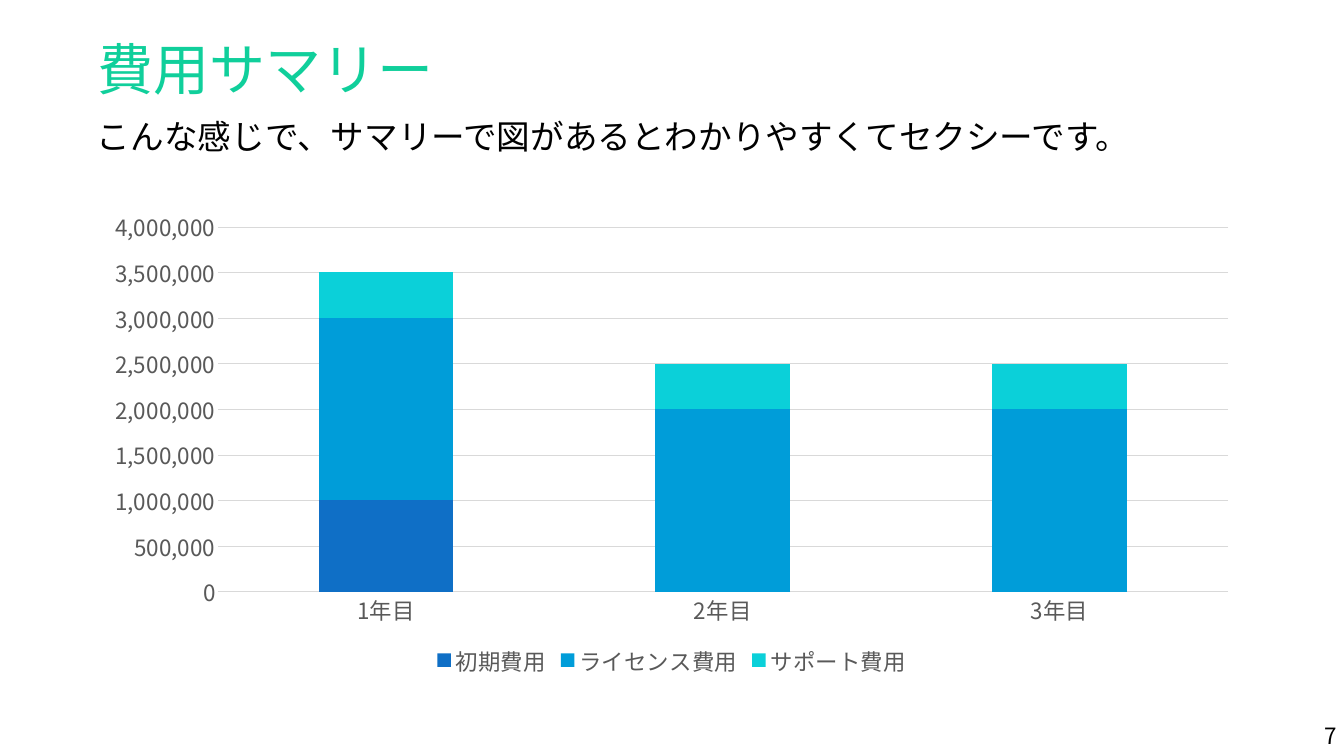
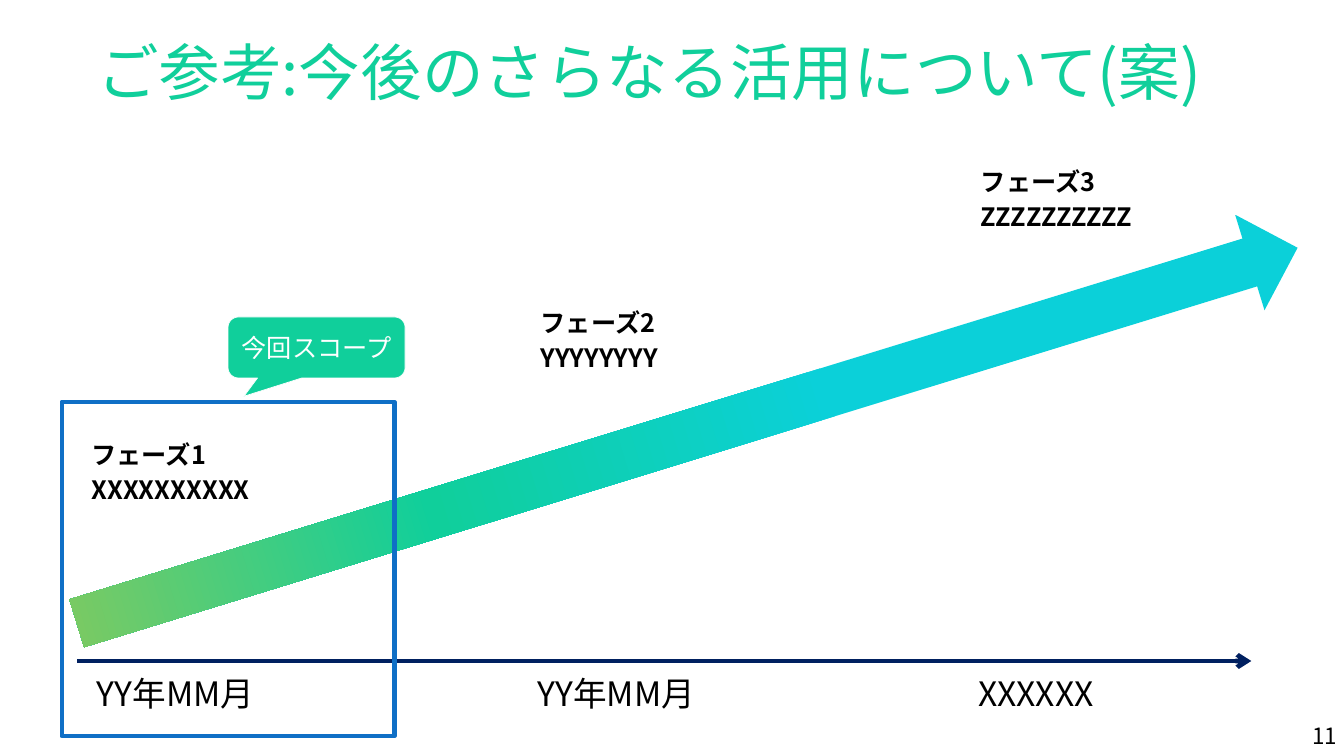
from lxml import etree
from pptx import Presentation
from pptx.chart.data import CategoryChartData
from pptx.dml.color import RGBColor
from pptx.enum.chart import XL_CHART_TYPE, XL_LEGEND_POSITION, XL_TICK_MARK
from pptx.enum.shapes import MSO_CONNECTOR, MSO_SHAPE
from pptx.enum.text import MSO_ANCHOR, MSO_AUTO_SIZE, PP_ALIGN
from pptx.oxml.ns import qn
from pptx.util import Emu, Inches, Pt

FONT = "Noto Sans CJK JP"
BLACK = RGBColor(0x00, 0x00, 0x00)
WHITE = RGBColor(0xFF, 0xFF, 0xFF)
GREEN = RGBColor(0x10, 0xCF, 0x9B)
LIME = RGBColor(0x7C, 0xCA, 0x62)
BLUE = RGBColor(0x0F, 0x6F, 0xC6)
SKY = RGBColor(0x00, 0x9D, 0xD9)
CYAN = RGBColor(0x0B, 0xD0, 0xD9)
NAVY = RGBColor(0x00, 0x20, 0x60)
GRAY = RGBColor(0x59, 0x59, 0x59)
GRID = RGBColor(0xD9, 0xD9, 0xD9)

LEFT, RIGHT, CENTER = PP_ALIGN.LEFT, PP_ALIGN.RIGHT, PP_ALIGN.CENTER
TOP, MIDDLE = MSO_ANCHOR.TOP, MSO_ANCHOR.MIDDLE
NO_TICK = XL_TICK_MARK.NONE
TITLE_ONLY = 5

# Content
COST_TITLE = "費用サマリー"
COST_LEAD = "こんな感じで、サマリーで図があるとわかりやすくてセクシーです。"
YEARS = ["1年目", "2年目", "3年目"]
COSTS = [
    ("初期費用", (1000000, 0, 0), BLUE),
    ("ライセンス費用", (2000000, 2000000, 2000000), SKY),
    ("サポート費用", (500000, 500000, 500000), CYAN),
]
ROADMAP_TITLE = "ご参考:今後のさらなる活用について(案)"
DATES = ["YY年MM月", "YY年MM月", "XXXXXX"]
PHASES = [  # lines, left, top
    (["フェーズ3", "ZZZZZZZZZZ"], 973, 162),
    (["フェーズ2", "YYYYYYYY"], 533, 303),
    (["フェーズ1", "XXXXXXXXXX"], 84, 435),
]
SCOPE = "今回スコープ"
ARROW_STOPS = [(0, CYAN), (39, CYAN), (70, GREEN), (99, LIME)]

# Layout, in pixels
MARGIN, CONTENT_W = 92, 1159
DATE_STEP = 440.5


def px(n):
    """Turn pixels into EMU."""
    return Emu(round(n * 914400 / 50.4))


def box(*lengths):
    """Turn left, top, width and height into EMU."""
    return [px(n) for n in lengths]


def add_east_asian(props):
    """Give text properties the East Asian typeface beside the Latin one."""
    ea = etree.Element(qn("a:ea"), typeface=FONT)
    props.find(qn("a:latin")).addnext(ea)


def set_text(sp, lines, size, color=BLACK, bold=False, align=LEFT, anchor=TOP,
             wrap=True, grow=False, spacing=None, before=None, after=None,
             insets=None):
    """Write one paragraph per line into a shape and format it."""
    tf = sp.text_frame
    tf.word_wrap = wrap
    tf.vertical_anchor = anchor
    tf.auto_size = MSO_AUTO_SIZE.SHAPE_TO_FIT_TEXT if grow else MSO_AUTO_SIZE.NONE
    if insets:
        tf.margin_left = tf.margin_right = Inches(insets[0])
        tf.margin_top = tf.margin_bottom = Inches(insets[1])
    for i, line in enumerate(lines):
        p = tf.add_paragraph() if i else tf.paragraphs[0]
        p.alignment = align
        p.line_spacing, p.space_before, p.space_after = spacing, before, after
        r = p.add_run()
        r.text = line
        r.font.name, r.font.size, r.font.bold = FONT, Pt(size), bold
        r.font.color.rgb = color
        add_east_asian(r.font._element if hasattr(r.font, "_element")
                       else r._r.get_or_add_rPr())
    return tf


def add_text(slide, lines, at, size, **fmt):
    """Add a text box."""
    return set_text(slide.shapes.add_textbox(*box(*at)), lines, size, **fmt)


def add_shape(slide, kind, at, fill=None, line=None, width=1):
    """Add a preset shape without shadow."""
    sp = slide.shapes.add_shape(kind, *box(*at))
    sp.shadow.inherit = False
    if fill is None:
        sp.fill.background()
    else:
        sp.fill.solid()
        sp.fill.fore_color.rgb = fill
    if line is None:
        sp.line.fill.background()
    else:
        sp.line.color.rgb = line
        sp.line.width = Pt(width)
    return sp


def add_slide(prs, title, size, number):
    """Start a slide with its title and page number."""
    slide = prs.slides.add_slide(prs.slide_layouts[TITLE_ONLY])
    sp = slide.shapes.title
    sp.left, sp.top, sp.width, sp.height = box(MARGIN, 40, CONTENT_W, 73)
    set_text(sp, [title], size, color=GREEN, spacing=0.9)
    sp = add_shape(slide, MSO_SHAPE.ROUNDED_RECTANGLE, (1251, 716, 92, 40))
    sp.adjustments[0] = 0.11
    set_text(sp, [number], 32, align=RIGHT, anchor=MIDDLE)
    return slide


def format_font(font):
    """Apply the label style of the chart."""
    font.name, font.size, font.bold = FONT, Pt(32), False
    font.color.rgb = GRAY


def add_cost_chart(slide):
    """Add the stacked columns of yearly costs."""
    data = CategoryChartData(number_format="#,##0")
    data.categories = YEARS
    for name, values, _ in COSTS:
        data.add_series(name, values)
    chart = slide.shapes.add_chart(
        XL_CHART_TYPE.COLUMN_STACKED, *box(MARGIN, 201, CONTENT_W, 480), data).chart
    chart.has_title = False
    chart.has_legend = True
    chart.legend.position = XL_LEGEND_POSITION.BOTTOM
    chart.legend.include_in_layout = False
    plot = chart.plots[0]
    plot.gap_width, plot.overlap, plot.vary_by_categories = 150, 100, False
    for series, (_, _, color) in zip(plot.series, COSTS):
        series.format.fill.solid()
        series.format.fill.fore_color.rgb = color

    cat, val = chart.category_axis, chart.value_axis
    for axis in (cat, val):
        axis.major_tick_mark = axis.minor_tick_mark = NO_TICK
        format_font(axis.tick_labels.font)
    format_font(chart.legend.font)
    cat.format.line.color.rgb = GRID
    cat.format.line.width = Pt(1.25)
    val.format.line.fill.background()
    val.minimum_scale, val.maximum_scale, val.major_unit = 0, 4000000, 500000
    val.tick_labels.number_format = "#,##0"
    val.tick_labels.number_format_is_linked = False
    val.major_gridlines.format.line.color.rgb = GRID
    val.major_gridlines.format.line.width = Pt(0.75)
    for props in chart._chartSpace.iter(qn("a:defRPr")):
        if props.find(qn("a:latin")) is not None:
            add_east_asian(props)


def add_time_axis(slide):
    """Add the time line and the dates below it."""
    line = slide.shapes.add_connector(
        MSO_CONNECTOR.STRAIGHT, px(77), px(661), px(1251), px(661))
    line.line.color.rgb = NAVY
    line.line.width = Pt(6.5)
    etree.SubElement(line.line._get_or_add_ln(), qn("a:tailEnd"), type="arrow")
    etree.SubElement(line._element.spPr, qn("a:effectLst"))
    for i, date in enumerate(DATES):
        add_text(slide, [date], (MARGIN + i * DATE_STEP, 670, 250, 46), 48,
                 grow=True, before=Pt(3), after=Pt(6))


def add_growth_arrow(slide):
    """Add the rising arrow with its gradient."""
    sp = add_shape(slide, MSO_SHAPE.UP_ARROW, (637, -203, 100, 1277))
    sp.rotation = 72.9
    sp.fill.gradient()
    sp.fill.gradient_angle = 270  # counter-clockwise: tip first
    stops = sp._element.spPr.find(".//" + qn("a:gsLst"))
    for stop in list(stops):
        stops.remove(stop)
    for percent, color in ARROW_STOPS:
        gs = etree.SubElement(stops, qn("a:gs"), pos=str(percent * 1000))
        etree.SubElement(gs, qn("a:srgbClr"), val=str(color))


def add_phase(slide, lines, left, top):
    """Add a phase label with hanging indent and relative spacing."""
    tf = add_text(slide, lines, (left, top, 461, 75), 36, bold=True, grow=True,
                  insets=(0.15, 0.08))
    for p in tf.paragraphs:
        props = p._p.get_or_add_pPr()
        props.set("marL", str(Inches(0.09)))
        props.set("indent", str(-Inches(0.09)))
        before = etree.Element(qn("a:spcBef"))
        etree.SubElement(before, qn("a:spcPct"), val="20000")
        props.insert(0, before)


def add_scope(slide):
    """Frame the current phase and name it in a callout."""
    add_shape(slide, MSO_SHAPE.RECTANGLE, (62, 402, 332, 334), line=BLUE, width=7)
    sp = add_shape(slide, MSO_SHAPE.ROUNDED_RECTANGULAR_CALLOUT,
                   (228, 317, 177, 61), fill=GREEN, line=WHITE)
    for i, value in enumerate((-0.41, 0.8, 0.17)):
        sp.adjustments[i] = value
    set_text(sp, [SCOPE], 36, color=WHITE, align=CENTER, anchor=MIDDLE)


def main():
    """Build both slides and save the file."""
    prs = Presentation()
    prs.slide_width, prs.slide_height = Inches(26.66), Inches(15)

    slide = add_slide(prs, COST_TITLE, 80, "7")
    add_cost_chart(slide)
    add_text(slide, [COST_LEAD], (MARGIN, 113, 1062, 46), 48, wrap=False, grow=True)

    slide = add_slide(prs, ROADMAP_TITLE, 88, "11")
    add_time_axis(slide)
    add_growth_arrow(slide)
    for lines, left, top in PHASES:
        add_phase(slide, lines, left, top)
    add_scope(slide)
    prs.save("out.pptx")


main()
